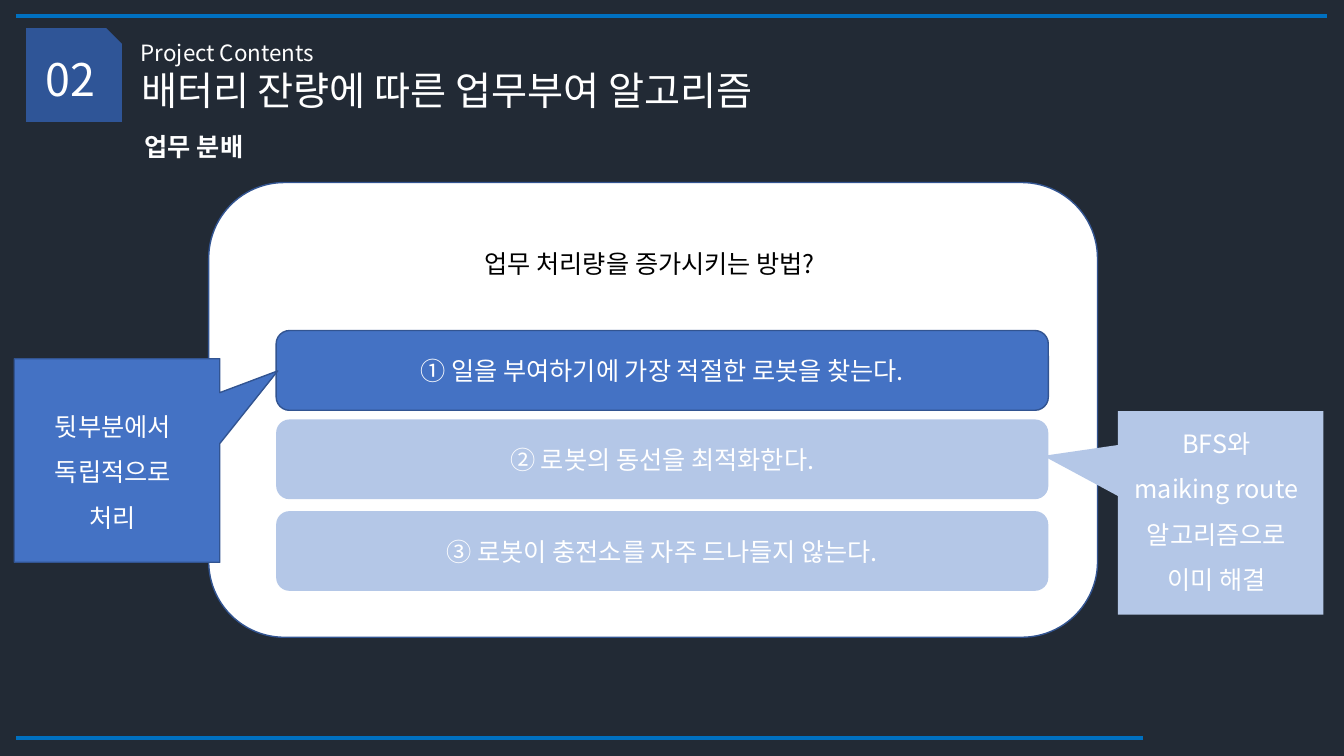
import pptx
import pptx.dml.color
import pptx.enum.dml
import pptx.enum.shapes
import pptx.enum.text
import pptx.oxml.ns
import pptx.util
from dataclasses import dataclass
from lxml import etree

Cm = pptx.util.Cm
Shape = pptx.enum.shapes.MSO_SHAPE
Anchor = pptx.enum.text.MSO_ANCHOR
Align = pptx.enum.text.PP_ALIGN
qn = pptx.oxml.ns.qn


@dataclass(frozen=True)
class Theme:
    font: str = "Noto Sans CJK KR"
    background: str = "222A35"
    white: str = "FFFFFF"
    black: str = "000000"
    rule: str = "0070C0"
    badge: str = "2F5597"
    strong: str = "4472C4"
    pale: str = "B4C7E7"
    outline: str = "325491"
    number_size: int = 32
    title_size: int = 28
    body_size: int = 18
    label_size: int = 16


THEME = Theme()


def rgb(value):
    return pptx.dml.color.RGBColor.from_string(value)


def write(frame, text, size=THEME.body_size, color=THEME.white, bold=False,
          align=Align.LEFT, anchor=Anchor.TOP, spacing=1.0, wrap=True):
    """Fill a text frame, one paragraph per line of text."""
    frame.word_wrap = wrap
    frame.auto_size = pptx.enum.text.MSO_AUTO_SIZE.NONE
    frame.vertical_anchor = anchor
    for index, line in enumerate(text.split("\n")):
        para = frame.add_paragraph() if index else frame.paragraphs[0]
        para.alignment = align
        para.line_spacing = spacing
        para.space_before = pptx.util.Pt(0)
        span = para.add_run()
        span.text = line
        span.font.name = THEME.font
        span.font.size = pptx.util.Pt(size)
        span.font.bold = bold
        span.font.color.rgb = rgb(color)
        # Korean letters take the East Asian typeface
        latin = span.font._element.find(qn("a:latin"))
        east_asian = etree.Element(qn("a:ea"), typeface=THEME.font)
        latin.addnext(east_asian)


class SlideBuilder:
    def __init__(self, deck, theme):
        self.theme = theme
        self.page = deck.slides.add_slide(deck.slide_layouts[5])
        self.page.background.fill.solid()
        self.page.background.fill.fore_color.rgb = rgb(theme.background)

    def title(self, text, left, top, width, height):
        box = self.page.shapes.title
        box.left, box.top, box.width, box.height = map(Cm, (left, top, width, height))
        write(box.text_frame, text, size=self.theme.title_size)

    def text(self, text, left, top, width, height, **style):
        box = self.page.shapes.add_textbox(*map(Cm, (left, top, width, height)))
        write(box.text_frame, text, **style)

    def shape(self, kind, left, top, width, height, fill, outlined=False,
              text=None, adjust=(), **style):
        box = self.page.shapes.add_shape(kind, *map(Cm, (left, top, width, height)))
        box.shadow.inherit = False
        box.fill.solid()
        box.fill.fore_color.rgb = rgb(fill)
        if outlined:
            box.line.color.rgb = rgb(self.theme.outline)
            box.line.width = pptx.util.Pt(1)
        else:
            box.line.fill.background()
        for index, value in enumerate(adjust):
            box.adjustments[index] = value
        if text:
            write(box.text_frame, text, align=Align.CENTER, anchor=Anchor.MIDDLE, **style)

    def rule(self, left, right, y):
        line = self.page.shapes.add_connector(
            pptx.enum.shapes.MSO_CONNECTOR.STRAIGHT, Cm(left), Cm(y), Cm(right), Cm(y))
        line.line.color.rgb = rgb(self.theme.rule)
        line.line.width = pptx.util.Pt(3)
        etree.SubElement(line._element.spPr, qn("a:effectLst"))


def main():
    deck = pptx.Presentation()
    deck.slide_width, deck.slide_height = Cm(33.87), Cm(19.05)
    slide = SlideBuilder(deck, THEME)

    # Central panel
    slide.shape(Shape.ROUNDED_RECTANGLE, 5.26, 4.6, 22.4, 11.46, THEME.white, outlined=True)

    # Header and rules
    slide.shape(Shape.SNIP_1_RECTANGLE, 0.66, 0.71, 2.41, 2.36, THEME.badge,
                text="02", size=THEME.number_size)
    slide.text("Project Contents", 3.3, 0.86, 22.6, 0.94, size=THEME.label_size)
    slide.title("배터리 잔량에 따른 업무부여 알고리즘", 3.3, 1.55, 22.6, 1.45)
    slide.text("업무 분배", 3.4, 3.18, 22.6, 1.02, bold=True)
    slide.rule(0.41, 33.45, 0.41)
    slide.rule(0.41, 28.8, 18.59)

    # Question and its answers
    slide.text("업무 처리량을 증가시키는 방법?", 11.46, 5.74, 9.83, 1.27,
               color=THEME.black, align=Align.CENTER, spacing=1.5, wrap=False)
    answers = [
        (8.33, "① 일을 부여하기에 가장 적절한 로봇을 찾는다.", THEME.strong, True),
        (10.57, "② 로봇의 동선을 최적화한다.", THEME.pale, False),
        (12.88, "③ 로봇이 충전소를 자주 드나들지 않는다.", THEME.pale, False),
    ]
    for top, text, fill, outlined in answers:
        slide.shape(Shape.ROUNDED_RECTANGLE, 6.96, top, 19.46, 2.01, fill, outlined, text)

    # Callouts: position, pointer, colours, then the text with its top and height
    callouts = [
        (28.17, 10.36, (-0.862, -0.28), THEME.pale, False,
         "BFS와\nmaiking route 알고리즘으로 이미 해결", 10.29, 4.72),
        (0.36, 9.04, (0.782, -0.44), THEME.strong, True,
         "뒷부분에서\n독립적으로\n처리", 9.86, 3.58),
    ]
    for left, top, pointer, fill, outlined, text, text_top, text_height in callouts:
        slide.shape(Shape.RECTANGULAR_CALLOUT, left, top, 5.18, 5.13, fill, outlined,
                    adjust=pointer)
        slide.text(text, left + 0.07, text_top, 4.83, text_height,
                   align=Align.CENTER, spacing=1.5)

    deck.save("out.pptx")


if __name__ == "__main__":
    main()
